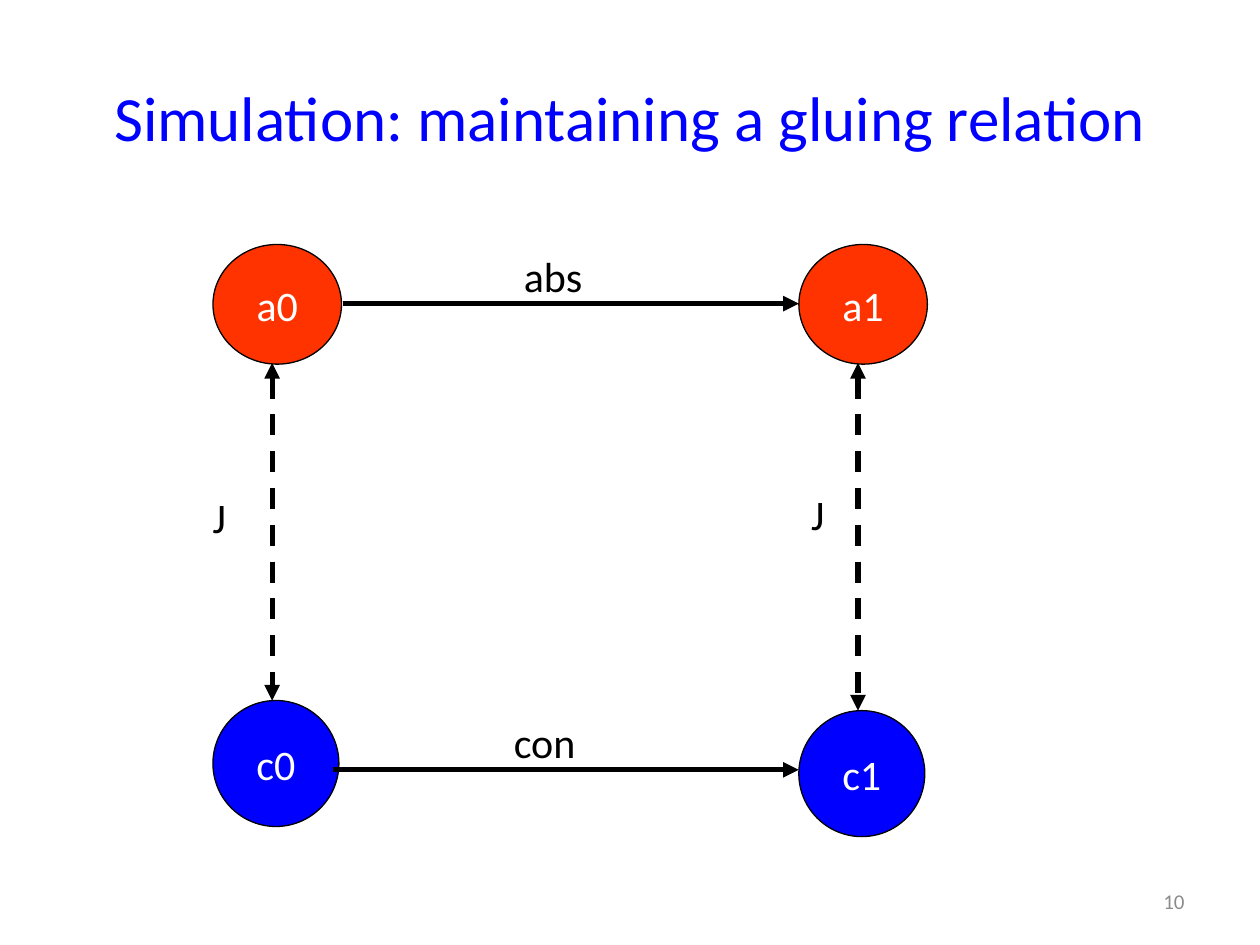
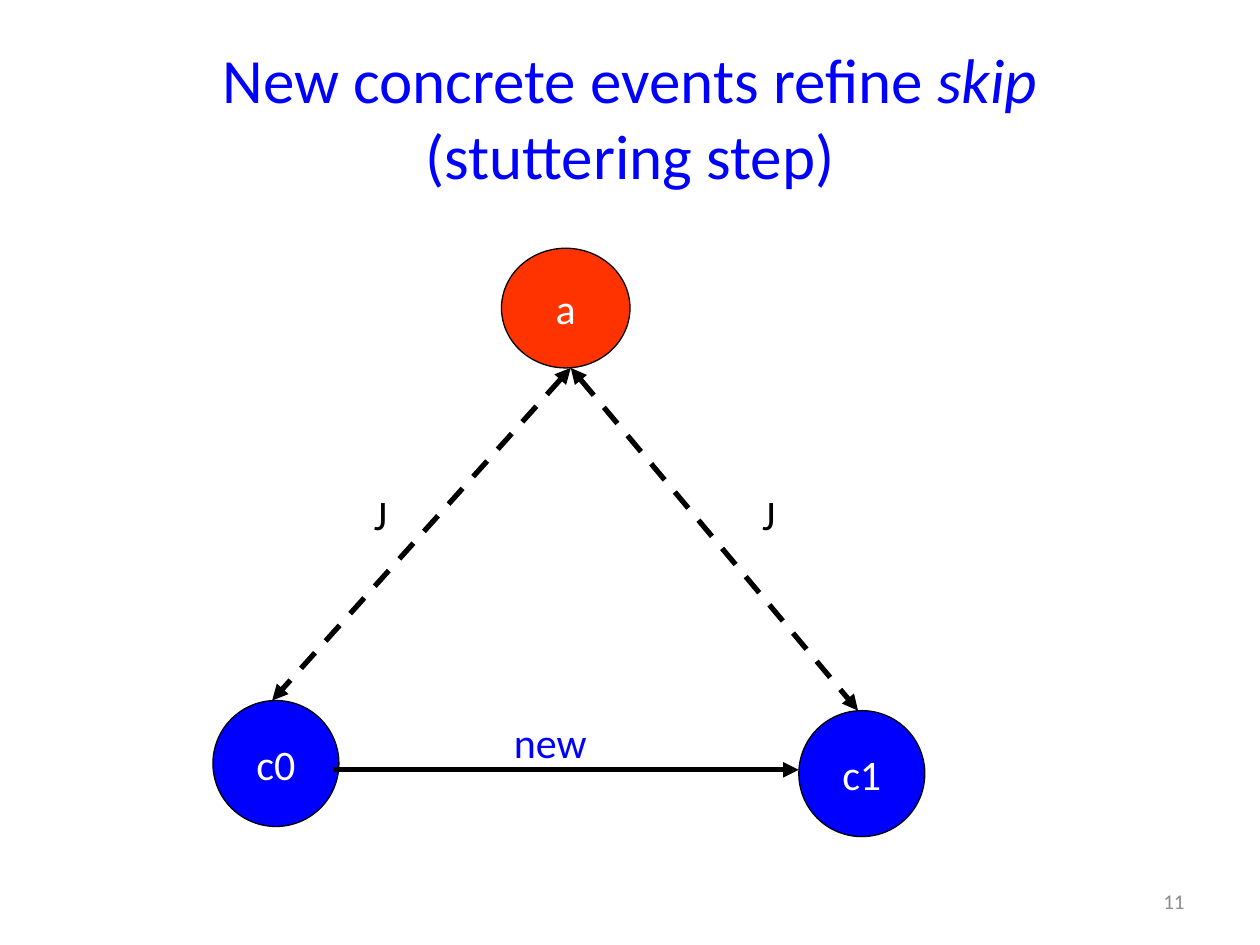
from lxml.etree import SubElement
from pptx import Presentation
from pptx.dml.color import RGBColor
from pptx.enum.dml import MSO_LINE
from pptx.enum.shapes import MSO_CONNECTOR, MSO_SHAPE
from pptx.enum.text import MSO_ANCHOR, PP_ALIGN
from pptx.oxml.ns import qn
from pptx.util import Inches, Pt

FONT = "Calibri"
HUES = {"blue": "0000FF", "red": "FF3300", "black": "000000",
        "white": "FFFFFF", "gray": "8C8C8C"}
SIZES = {"red": (1.02, 0.95), "blue": (1, 1)}

STEP = ((2.64, 6.11), (6.34, 6.11), False)
LOW = [("c0", "blue", 1.69, 5.56), ("c1", "blue", 6.34, 5.64)]
LEFT, RIGHT = (2.16, 5.56), (6.81, 5.64)
APEX = (4.53, 2.92)

SLIDES = [
    {
        "title": [[("Simulation: maintaining a gluing relation", False)]],
        "page": 10,
        "states": [("a0", "red", 1.69, 1.94), ("a1", "red", 6.34, 1.94)] + LOW,
        "arrows": [STEP, ((2.72, 2.41), (6.34, 2.41), False),
                   ((2.16, 2.88), LEFT, True), ((6.81, 2.88), RIGHT, True)],
        "labels": [("con", "black", 3.98, 5.64, 0.7),
                   ("abs", "black", 4.06, 1.94, 0.67),
                   ("J", "black", 1.59, 3.85, 0.37),
                   ("J", "black", 6.34, 3.83, 0.37)],
    },
    {
        "title": [[("New concrete events refine ", False), ("skip", True)],
                  [("(stuttering step)", False)]],
        "page": 11,
        "states": [("a", "red", 3.98, 1.97)] + LOW,
        "arrows": [STEP, (APEX, LEFT, True), (APEX, RIGHT, True)],
        "labels": [("new", "blue", 3.98, 5.64, 0.79),
                   ("J", "black", 2.87, 3.83, 0.37),
                   ("J", "black", 5.95, 3.83, 0.37)],
    },
]


def color(name):
    return RGBColor.from_string(HUES[name])


def style(para, size, hue, align):
    para.font.name = FONT
    para.font.size = Pt(size)
    para.font.color.rgb = color(hue)
    para.alignment = align


def add_text(slide, box, text, size, hue, align=PP_ALIGN.LEFT,
             anchor=MSO_ANCHOR.TOP, wrap=True):
    frame = slide.shapes.add_textbox(*map(Inches, box)).text_frame
    frame.word_wrap = wrap
    frame.vertical_anchor = anchor
    para = frame.paragraphs[0]
    if text:
        para.text = text
    style(para, size, hue, align)
    return para


def add_title(slide, lines):
    para = add_text(slide, (0.5, 0.3, 9, 1.25), "", 36, "blue",
                    PP_ALIGN.CENTER, MSO_ANCHOR.MIDDLE)
    for row, line in enumerate(lines):
        if row:
            para.add_line_break()
        for text, slant in line:
            run = para.add_run()
            run.text = text
            if slant:
                run.font.italic = True


def add_state(slide, name, hue, left, top):
    box = map(Inches, (left, top, *SIZES[hue]))
    oval = slide.shapes.add_shape(MSO_SHAPE.OVAL, *box)
    oval.shadow.inherit = False
    oval.fill.solid()
    oval.fill.fore_color.rgb = color(hue)
    oval.line.color.rgb = color("black")
    oval.line.width = Pt(0.75)
    frame = oval.text_frame
    frame.word_wrap = False
    frame.vertical_anchor = MSO_ANCHOR.MIDDLE
    frame.text = name
    style(frame.paragraphs[0], 24, "white", PP_ALIGN.CENTER)


def add_arrow(slide, start, end, dashed):
    link = slide.shapes.add_connector(MSO_CONNECTOR.STRAIGHT,
                                      *map(Inches, start + end))
    link.line.color.rgb = color("black")
    link.line.width = Pt(3)
    if dashed:
        link.line.dash_style = MSO_LINE.DASH
    props = link.element.spPr
    line = props.find(qn("a:ln"))
    for tip in ("a:headEnd", "a:tailEnd") if dashed else ("a:tailEnd",):
        SubElement(line, qn(tip), type="triangle")
    SubElement(props, qn("a:effectLst"))


def main():
    deck = Presentation()
    deck.slide_width, deck.slide_height = Inches(10), Inches(7.5)
    for data in SLIDES:
        slide = deck.slides.add_slide(deck.slide_layouts[6])
        add_title(slide, data["title"])
        for state in data["states"]:
            add_state(slide, *state)
        for arrow in data["arrows"]:
            add_arrow(slide, *arrow)
        for text, hue, left, top, width in data["labels"]:
            add_text(slide, (left, top, width, 0.5), text, 24, hue, wrap=False)
        add_text(slide, (7.17, 6.95, 2.33, 0.4), str(data["page"]), 12, "gray",
                 PP_ALIGN.RIGHT, MSO_ANCHOR.MIDDLE)
    deck.save("out.pptx")


if __name__ == "__main__":
    main()
